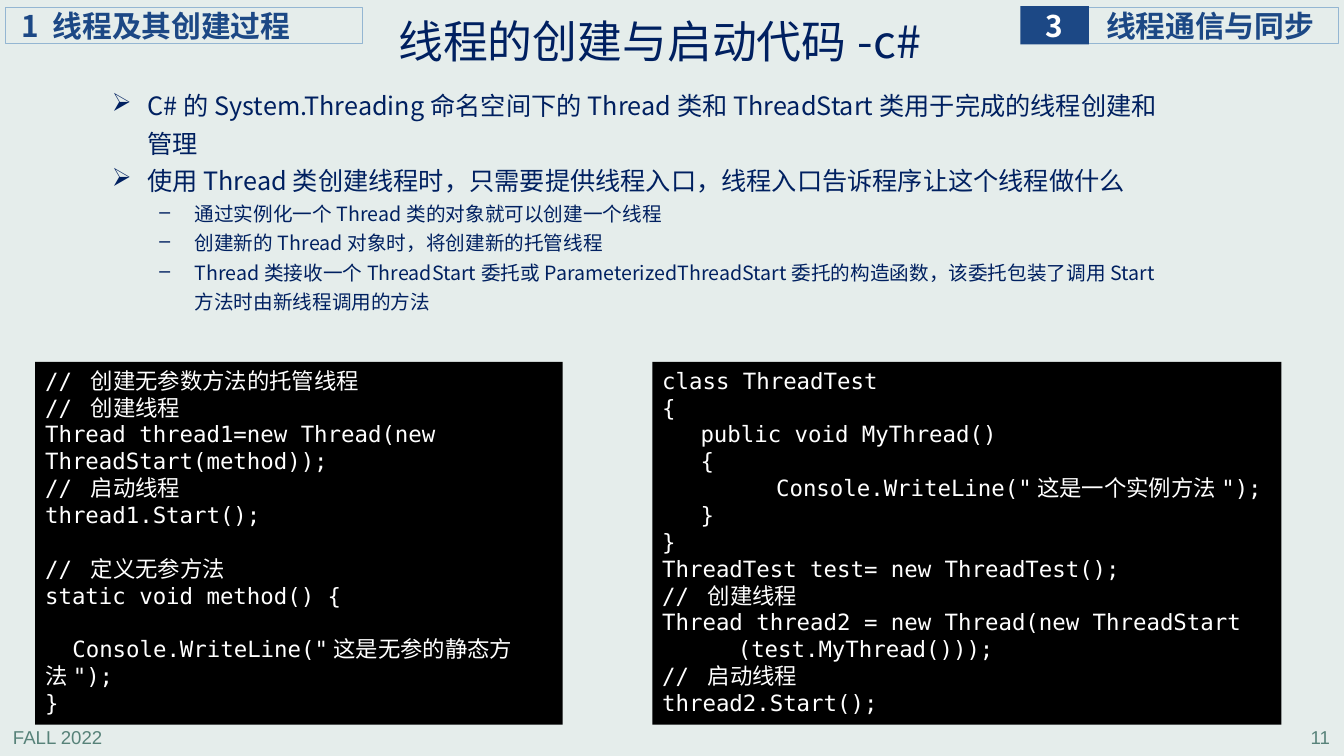
from lxml.etree import SubElement as Sub
from pptx import Presentation
from pptx.dml.color import RGBColor as Rgb
from pptx.enum.shapes import MSO_SHAPE as Geo
from pptx.enum.text import MSO_ANCHOR as Anchor, PP_ALIGN as Align
from pptx.oxml.ns import qn
from pptx.util import Inches, Pt

COLORS = {"back": "E5EDEB", "navy": "002060", "blue": "1C4885", "edge": "94B6D2",
          "foot": "578279", "white": "FFFFFF", "black": "000000"}
SANS, MONO, ARIAL = "Noto Sans CJK SC", "DejaVu Sans Mono", "Arial"
PAD = (0.1, 0.05, 0.1, 0.05)

TITLE = "线程的创建与启动代码-c#"
POINTS = [
    (0, "C#的System.Threading命名空间下的Thread类和ThreadStart类用于完成的线程创建和管理"),
    (0, "使用Thread类创建线程时，只需要提供线程入口，线程入口告诉程序让这个线程做什么"),
    (1, "通过实例化一个Thread类的对象就可以创建一个线程"),
    (1, "创建新的Thread对象时，将创建新的托管线程"),
    (1, "Thread类接收一个ThreadStart委托或ParameterizedThreadStart委托的构造函数，"
        "该委托包装了调用Start方法时由新线程调用的方法"),
]
LEVELS = [(18, 0.47, "➢"), (14, 0.94, "–")]

# margin, first-line indent, gap before, text
STATIC = [
    (0, 0, 0, "// 创建无参数方法的托管线程"),
    (0, 0, 0, "// 创建线程"),
    (0, 0, 0, "Thread thread1=new Thread(new ThreadStart(method));"),
    (0, 0, 0, "// 启动线程"),
    (0, 0, 0, "thread1.Start();"),
    (0, 0, 19.2, "// 定义无参方法"),
    (0, 0, 0, "static void method() {"),
    (0, 0.27, 19.2, 'Console.WriteLine("这是无参的静态方法");'),
    (0, 0, 0, "}"),
]
MEMBER = [
    (0, 0, 0, "class ThreadTest"),
    (0, 0, 0, "{"),
    (0.38, 0, 0, "public void MyThread()"),
    (0.38, 0, 0, "{"),
    (1.13, 0, 0, 'Console.WriteLine("这是一个实例方法");'),
    (0.38, 0, 0, "}"),
    (0, 0, 0, "}"),
    (0, 0, 0, "ThreadTest test= new ThreadTest();"),
    (0, 0, 0, "// 创建线程"),
    (0.75, -0.75, 0, "Thread thread2 = new Thread(new ThreadStart (test.MyThread()));"),
    (0, 0, 0, "// 启动线程"),
    (0, 0, 0, "thread2.Start();"),
]
CODES = [((0.35, 3.59, 5.23, 3.6), STATIC), ((6.47, 3.59, 6.24, 3.6), MEMBER)]
FOOTS = [(0.03, "FALL 2022", Align.LEFT), (10.51, "11", Align.RIGHT)]
TABS = [
    ((10.78, 0.07, 2.5, 0.36), "线程通信与同步", 0.19, None, "edge", "blue", Align.LEFT),
    ((10.12, 0.06, 0.68, 0.38), "3", 0, "blue", None, "white", Align.CENTER),
    ((0.05, 0.07, 3.55, 0.36), "1 线程及其创建过程", 0.16, None, "edge", "blue", Align.LEFT),
]


def tint(name):
    return Rgb.from_string(COLORS[name])


def setup(shape, pad, anchor):
    frame = shape.text_frame
    frame.word_wrap = True
    frame.vertical_anchor = anchor
    (frame.margin_left, frame.margin_top,
     frame.margin_right, frame.margin_bottom) = map(Inches, pad)
    return frame


def style(para, text, size, face, color, align=Align.LEFT, bold=False):
    para.text = text
    para.alignment = align
    font = para.font
    font.size, font.name, font.bold = Pt(size), face, bold
    font.color.rgb = tint(color)
    base = para._p.pPr.find(qn("a:defRPr"))
    Sub(base, qn("a:ea")).set("typeface", face)


def indent(para, margin, first):
    props = para._p.get_or_add_pPr()
    props.set("marL", str(Inches(margin)))
    props.set("indent", str(Inches(first)))
    return props


def paras(frame, items):
    for i, item in enumerate(items):
        yield (frame.add_paragraph() if i else frame.paragraphs[0]), item


def block(slide, box, fill, line):
    shape = slide.shapes.add_shape(Geo.RECTANGLE, *map(Inches, box))
    shape.shadow.inherit = False
    if fill:
        shape.fill.solid()
        shape.fill.fore_color.rgb = tint(fill)
    else:
        shape.fill.background()
    if line:
        shape.line.color.rgb = tint(line)
        shape.line.width = Pt(0.75)
    else:
        shape.line.fill.background()
    return shape


def textbox(slide, box):
    return slide.shapes.add_textbox(*map(Inches, box))


def main():
    deck = Presentation()
    deck.slide_width, deck.slide_height = Inches(13.33), Inches(7.5)
    slide = deck.slides.add_slide(deck.slide_layouts[5])
    slide.background.fill.solid()
    slide.background.fill.fore_color.rgb = tint("back")

    for left, text, align in FOOTS:
        frame = setup(textbox(slide, (left, 7.16, 2.78, 0.31)), PAD, Anchor.MIDDLE)
        style(frame.paragraphs[0], text, 13.3, ARIAL, "foot", align)

    for box, text, inset, fill, line, color, align in TABS:
        frame = setup(block(slide, box, fill, line), (inset, 0, 0, 0), Anchor.MIDDLE)
        style(frame.paragraphs[0], text, 21.3, SANS, color, align, True)

    title = slide.shapes.title
    title.left, title.top, title.width, title.height = map(Inches, (3.87, 0.04, 7.47, 0.74))
    frame = setup(title, (0.08, 0.07, 0.08, 0.01), Anchor.MIDDLE)
    style(frame.paragraphs[0], TITLE, 32, SANS, "navy")
    frame.paragraphs[0].line_spacing = 0.9

    frame = setup(textbox(slide, (0.91, 0.78, 10.78, 2.56)), (0.08, 0.04, 0.08, 0.04), Anchor.TOP)
    for para, (level, text) in paras(frame, POINTS):
        size, margin, mark = LEVELS[level]
        style(para, text, size, SANS, "navy")
        para.level = level
        para.line_spacing = 1.25
        props = indent(para, margin, -0.35)
        bullet = Sub(props, qn("a:buChar"))
        bullet.set("char", mark)
        props.find(qn("a:defRPr")).addprevious(bullet)

    for box, lines in CODES:
        frame = setup(block(slide, box, "black", None), PAD, Anchor.TOP)
        for para, (margin, first, gap, text) in paras(frame, lines):
            style(para, text, 16, MONO, "white")
            para.space_before = Pt(gap)
            indent(para, margin, first)

    deck.save("out.pptx")


if __name__ == "__main__":
    main()
